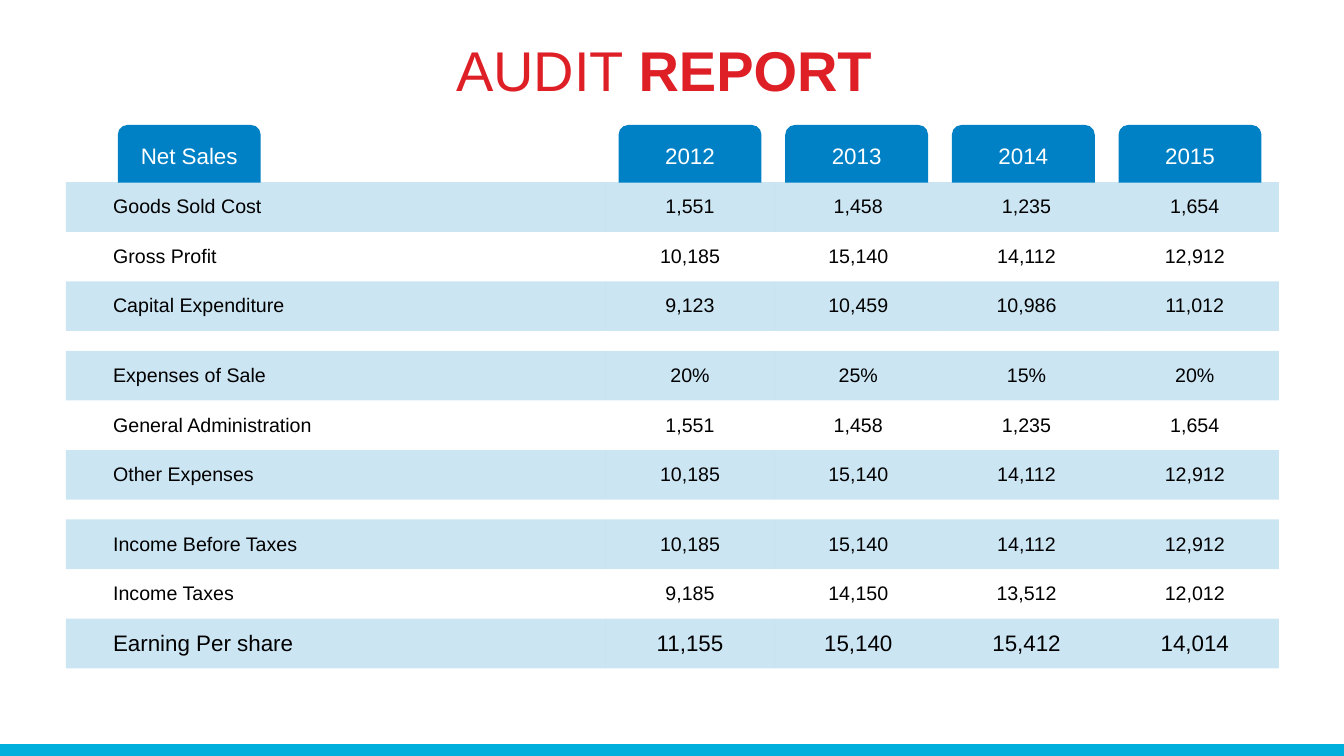
from lxml.etree import SubElement
from pptx import Presentation
from pptx.dml.color import RGBColor
from pptx.enum.shapes import MSO_SHAPE
from pptx.enum.text import MSO_ANCHOR, MSO_AUTO_SIZE, PP_ALIGN
from pptx.oxml.ns import qn
from pptx.util import Cm, Pt

BLUE, CYAN, RED = "0081C6", "00AFDB", "DE1F26"
BLACK, WHITE = "000000", "FFFFFF"
PLAIN = "{2D5ABB26-0587-4C30-8999-92F81FD0307C}"

YEARS = ["2012", "2013", "2014", "2015"]
GROUPS = [
    [
        ["Goods Sold Cost", "1,551", "1,458", "1,235", "1,654"],
        ["Gross Profit", "10,185", "15,140", "14,112", "12,912"],
        ["Capital Expenditure", "9,123", "10,459", "10,986", "11,012"],
    ],
    [
        ["Expenses of Sale", "20%", "25%", "15%", "20%"],
        ["General Administration", "1,551", "1,458", "1,235", "1,654"],
        ["Other Expenses", "10,185", "15,140", "14,112", "12,912"],
    ],
    [
        ["Income Before Taxes", "10,185", "15,140", "14,112", "12,912"],
        ["Income Taxes", "9,185", "14,150", "13,512", "12,012"],
        ["Earning Per share", "11,155", "15,140", "15,412", "14,014"],
    ],
]


def tint(color, value):
    """Set a colour from a hex string."""
    color.rgb = RGBColor.from_string(value)


class Report:
    """Hold the style and the current slide."""

    font = "Arial"
    widths = [13.61] + [4.24] * 4
    height = 1.25

    def __init__(self, slide):
        """Keep the slide to draw on."""
        self.slide = slide

    def label(self, frame, runs, size, color, align=PP_ALIGN.CENTER):
        """Fill a text frame with (text, bold) runs."""
        para = frame.paragraphs[0]
        para.alignment = align
        for text, bold in runs:
            run = para.add_run()
            run.text = text
            run.font.name = self.font
            run.font.size = Pt(size)
            run.font.bold = bold
            tint(run.font.color, color)

    def title(self, runs):
        """Place and fill the title."""
        title = self.slide.shapes.title
        title.left, title.top = Cm(1.69), Cm(0.76)
        title.width, title.height = Cm(30.48), Cm(1.98)
        frame = title.text_frame
        frame.auto_size = MSO_AUTO_SIZE.NONE
        frame.vertical_anchor = MSO_ANCHOR.MIDDLE
        frame.margin_left = frame.margin_right = Cm(0.33)
        frame.margin_top = frame.margin_bottom = Cm(0.17)
        self.label(frame, runs, 40, RED)

    def block(self, kind, left, top, width, height, color):
        """Draw a plain filled shape."""
        box = [Cm(n) for n in (left, top, width, height)]
        shape = self.slide.shapes.add_shape(kind, *box)
        shape.shadow.inherit = False
        shape.fill.solid()
        tint(shape.fill.fore_color, color)
        shape.line.fill.background()
        return shape

    def tab(self, text, left):
        """Draw a column heading with rounded top corners."""
        kind = MSO_SHAPE.ROUND_2_SAME_RECTANGLE
        shape = self.block(kind, left, 3.15, 3.6, 1.45, BLUE)
        shape.text_frame.vertical_anchor = MSO_ANCHOR.MIDDLE
        self.label(shape.text_frame, [(text, False)], 16, WHITE)

    def shade(self, cell, band):
        """Give a cell a pale blue fill or none."""
        if not band:
            cell.fill.background()
            return
        cell.fill.solid()
        tint(cell.fill.fore_color, BLUE)
        color = cell._tc.tcPr.find(".//" + qn("a:srgbClr"))
        SubElement(color, qn("a:alpha"), val="20000")

    def table(self, rows, top):
        """Add one group of figures."""
        box = [Cm(n) for n in (1.66, top, sum(self.widths), self.height * len(rows))]
        frame = self.slide.shapes.add_table(len(rows), len(self.widths), *box)
        grid = frame.table
        grid.first_row = grid.horz_banding = False
        for style in frame.element.iter(qn("a:tableStyleId")):
            style.text = PLAIN
        for col, width in zip(grid.columns, self.widths):
            col.width = Cm(width)
        for r, row in enumerate(rows):
            grid.rows[r].height = Cm(self.height)
            size = 16 if row[0] == "Earning Per share" else 14
            for c, text in enumerate(row):
                cell = grid.cell(r, c)
                cell.margin_left = cell.margin_right = Cm(1.19)
                cell.vertical_anchor = MSO_ANCHOR.MIDDLE
                self.shade(cell, r % 2 == 0)
                align = PP_ALIGN.CENTER if c else PP_ALIGN.LEFT
                self.label(cell.text_frame, [(text, False)], size, BLACK, align)


def main():
    """Build and save the slide."""
    deck = Presentation()
    deck.slide_width, deck.slide_height = Cm(33.87), Cm(19.05)
    report = Report(deck.slides.add_slide(deck.slide_layouts[5]))
    report.title([("AUDIT ", False), ("REPORT ", True)])
    for i, rows in enumerate(GROUPS):
        report.table(rows, 4.59 + 4.25 * i)
    for i, year in enumerate(YEARS):
        report.tab(year, 15.59 + 4.2 * i)
    report.tab("Net Sales", 2.97)
    report.block(MSO_SHAPE.RECTANGLE, 0, 18.75, 33.87, 0.3, CYAN)
    deck.save("out.pptx")


if __name__ == "__main__":
    main()
